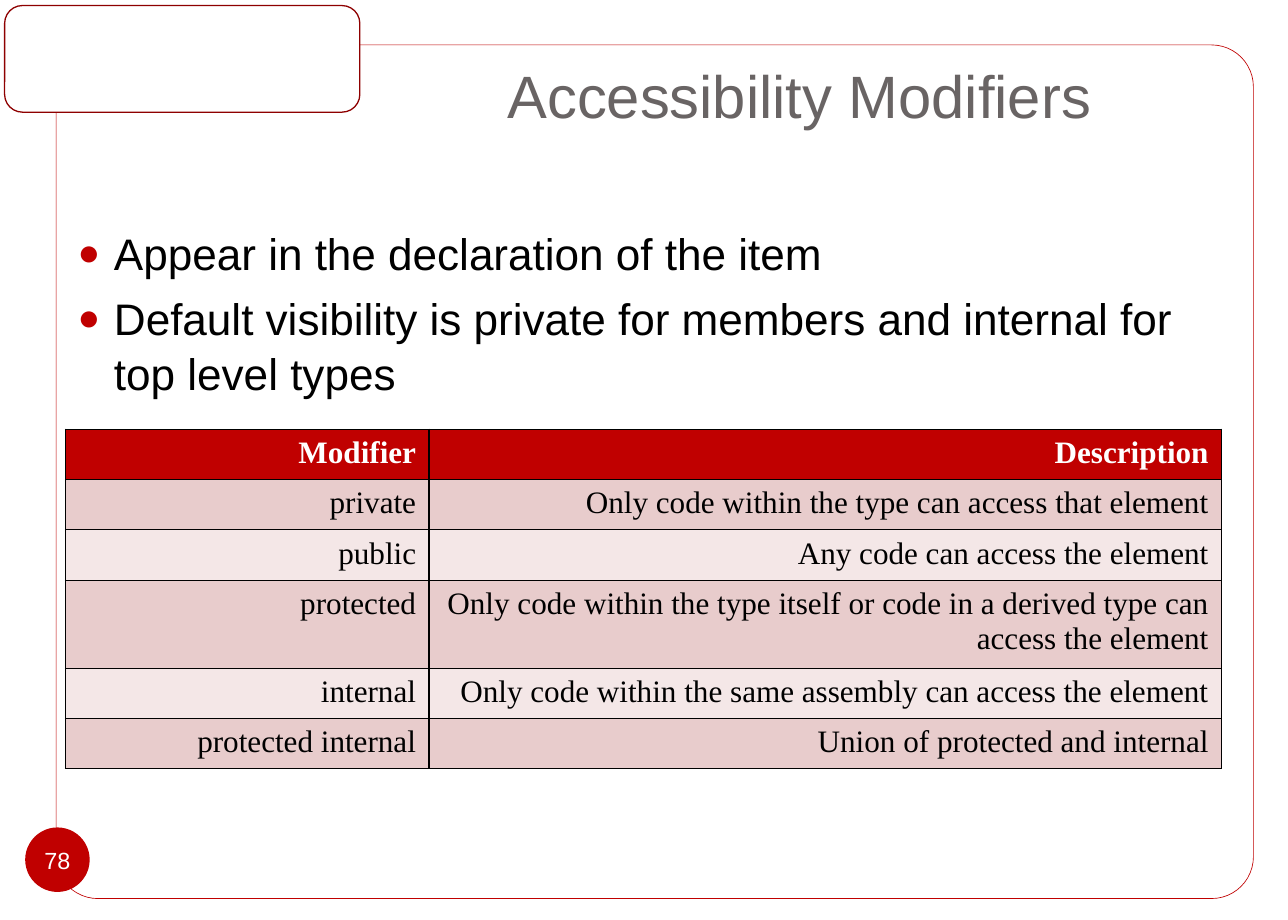
"""Build the Accessibility Modifiers slide with its bullets and modifier table."""
from dataclasses import dataclass

from lxml import etree
from pptx import Presentation
from pptx.dml.color import RGBColor
from pptx.enum import shapes, text
from pptx.oxml import ns
from pptx.util import Pt


@dataclass(frozen=True)
class Theme:
    red: str = "C00000"
    dark_red: str = "8E0000"
    white: str = "FFFFFF"
    black: str = "000000"
    grey: str = "696464"
    bands: tuple = ("F4E7E7", "E8CCCC")
    sans: str = "Arial"
    serif: str = "Times New Roman"
    title_size: int = 46
    body_size: int = 34
    table_size: int = 24
    number_size: int = 18


theme = Theme()


def write(frame, words, margins, font, size, color, align):
    """Fill a text frame with one paragraph per line and format its runs."""
    frame.text = words
    frame.word_wrap = True
    frame.margin_left, frame.margin_top, frame.margin_right, frame.margin_bottom = map(Pt, margins)
    for para in frame.paragraphs:
        para.alignment = align
        for span in para.runs:
            span.font.name = font
            span.font.size = Pt(size)
            span.font.color.rgb = RGBColor.from_string(color)


def add_panel(page, kind, place, fill, line=None, width=0):
    """Add a flat preset shape with an optional outline."""
    panel = page.shapes.add_shape(kind, *map(Pt, place))
    panel.shadow.inherit = False
    panel.fill.solid()
    panel.fill.fore_color.rgb = RGBColor.from_string(fill)
    if line:
        panel.line.color.rgb = RGBColor.from_string(line)
        panel.line.width = Pt(width)
    else:
        panel.line.fill.background()
    return panel


deck = Presentation()
deck.slide_width, deck.slide_height = Pt(992.16), Pt(708.48)
page = deck.slides.add_slide(deck.slide_layouts[6])

rounded = shapes.MSO_SHAPE.ROUNDED_RECTANGLE
border = add_panel(page, rounded, (43.2, 34.6, 922.3, 657.4), theme.white, theme.red, 0.5)
border.adjustments[0] = 0.049
add_panel(page, rounded, (3.6, 4.3, 273.6, 82.1), theme.white, theme.dark_red, 1)

title = page.shapes.add_textbox(Pt(280.8), Pt(-2.2), Pt(669.6), Pt(112.3))
write(title.text_frame, "Accessibility Modifiers", (9.4, 4.3, 9.4, 9.4),
      theme.sans, theme.title_size, theme.grey, text.PP_ALIGN.CENTER)
title.text_frame.vertical_anchor = text.MSO_ANCHOR.BOTTOM

badge = add_panel(page, shapes.MSO_SHAPE.OVAL, (19.4, 637.2, 49.7, 49.7), theme.red)
write(badge.text_frame, "78", (0, 0, 0, 0),
      theme.sans, theme.number_size, theme.white, text.PP_ALIGN.CENTER)
badge.text_frame.word_wrap = False
badge.text_frame.vertical_anchor = text.MSO_ANCHOR.MIDDLE

points = [
    "Appear in the declaration of the item",
    "Default visibility is private for members and internal for top level types",
]
body = page.shapes.add_textbox(Pt(50.4), Pt(168.5), Pt(890.6), Pt(453.6))
write(body.text_frame, "\n".join(points), (9.4, 4.3, 9.4, 4.3),
      theme.sans, theme.body_size, theme.black, text.PP_ALIGN.LEFT)
for para in body.text_frame.paragraphs:
    para.space_before = Pt(7.5)
    para.line_spacing = 1.04
    props = para._p.get_or_add_pPr()
    props.set("marL", str(Pt(28)))
    props.set("indent", str(Pt(-28)))
    bullet_color = etree.SubElement(props, ns.qn("a:buClr"))
    etree.SubElement(bullet_color, ns.qn("a:srgbClr"), val=theme.red)
    etree.SubElement(props, ns.qn("a:buSzPct"), val="85000")
    etree.SubElement(props, ns.qn("a:buFont"), typeface=theme.sans)
    etree.SubElement(props, ns.qn("a:buChar"), char="●")

modifiers = [
    ("Modifier", "Description"),
    ("private", "Only code within the type can access that element"),
    ("public", "Any code can access the element"),
    ("protected", "Only code within the type itself or code in a derived type can access the element"),
    ("internal", "Only code within the same assembly can access the element"),
    ("protected internal", "Union of protected and internal"),
]
column_widths = (280.1, 610.5)
row_heights = (38.3, 38.3, 38.3, 66.3, 38.3, 38.3)
table = page.shapes.add_table(len(modifiers), 2, Pt(50.4), Pt(330.5),
                              Pt(sum(column_widths)), Pt(sum(row_heights))).table
for column, width in zip(table.columns, column_widths):
    column.width = Pt(width)
for index, (row, entries) in enumerate(zip(table.rows, modifiers)):
    row.height = Pt(row_heights[index])
    header = index == 0
    for cell, entry in zip(row.cells, entries):
        write(cell.text_frame, entry, (0, 0, 0, 0), theme.serif, theme.table_size,
              theme.white if header else theme.black, text.PP_ALIGN.RIGHT)
        cell.text_frame.paragraphs[0].runs[0].font.bold = header
        cell.margin_left = cell.margin_right = Pt(10)
        cell.margin_top = cell.margin_bottom = Pt(5)
        props = cell._tc.get_or_add_tcPr()
        for side in ("a:lnL", "a:lnR", "a:lnT", "a:lnB"):
            edge = etree.SubElement(props, ns.qn(side), w=str(Pt(1)))
            paint = etree.SubElement(edge, ns.qn("a:solidFill"))
            etree.SubElement(paint, ns.qn("a:srgbClr"), val=theme.black)
        cell.fill.solid()
        cell.fill.fore_color.rgb = RGBColor.from_string(theme.red if header else theme.bands[index % 2])

deck.save("out.pptx")
